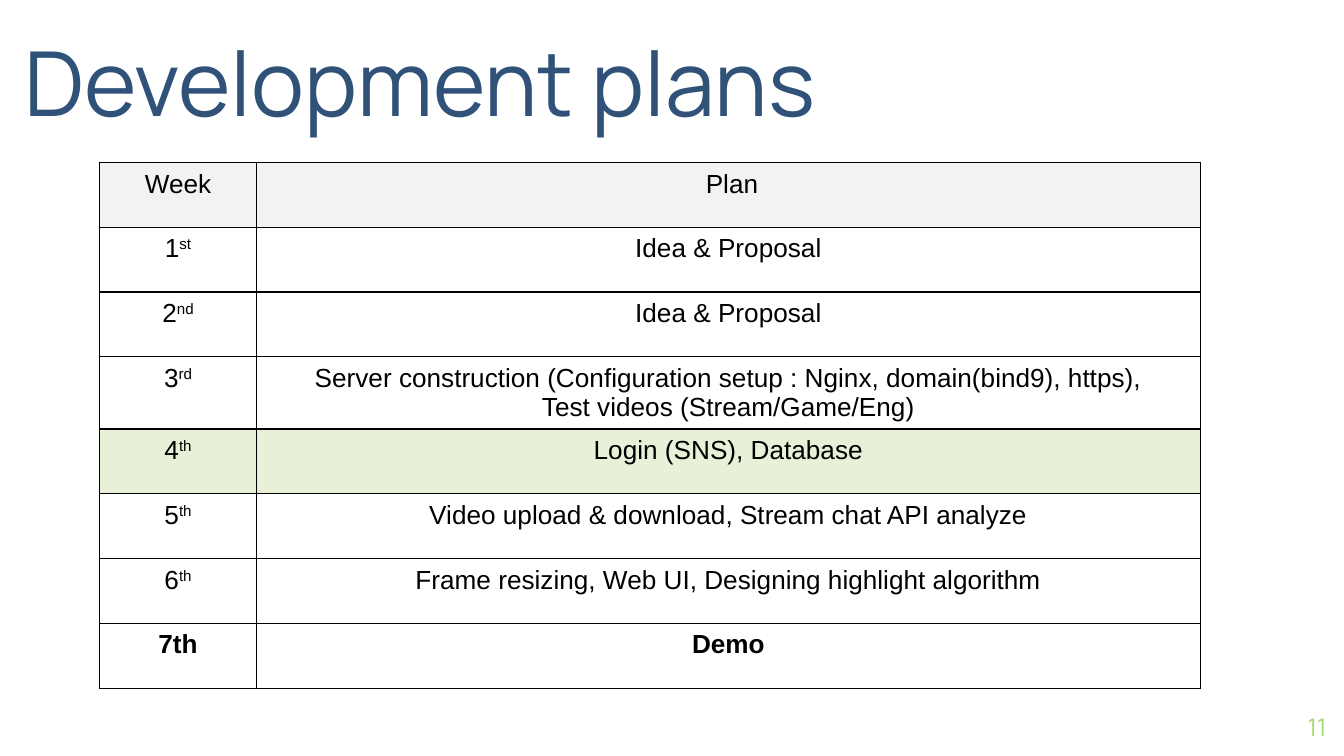
"""Build the weekly development plan slide."""
from dataclasses import dataclass

from lxml.etree import SubElement
from pptx import Presentation
from pptx.dml.color import RGBColor
from pptx.enum.text import MSO_ANCHOR as Anchor, MSO_AUTO_SIZE as AutoSize, PP_ALIGN as Align
from pptx.oxml.ns import qn
from pptx.util import Inches, Pt

COLORS = {"title": "305178", "number": "A7D86D", "text": "000000", "line": "000000",
          "header": "F2F2F2", "plain": "FFFFFF", "current": "E8F0D8"}
WIDTH = Inches(10)
HEIGHT = WIDTH * 9 // 16
COL_PERCENTS = (11.7, 70.2)
ROW_PERCENT = 8.57


@dataclass
class Box:
    """Rectangle in percent of the slide's size."""
    x: float
    y: float
    w: float
    h: float

    def emu(self) -> tuple[int, int, int, int]:
        """Return left, top, width and height as lengths."""
        return (round(self.x * WIDTH / 100), round(self.y * HEIGHT / 100),
                round(self.w * WIDTH / 100), round(self.h * HEIGHT / 100))


@dataclass
class PlanRow:
    """Table row: week, its ordinal suffix, plan lines and look."""
    week: str
    suffix: str
    plan: tuple[str, ...]
    fill: str = "plain"
    bold: bool = False


ROWS = (
    PlanRow("Week", "", (" Plan",), "header"),
    PlanRow("1", "st", ("Idea & Proposal",)),
    PlanRow("2", "nd", ("Idea & Proposal",)),
    PlanRow("3", "rd", ("Server construction (Configuration setup : Nginx, domain(bind9), https),",
                        "Test videos (Stream/Game/Eng)")),
    PlanRow("4", "th", ("Login (SNS), Database",), "current"),
    PlanRow("5", "th", ("Video upload & download, Stream chat API analyze",)),
    PlanRow("6", "th", ("Frame resizing, Web UI, Designing highlight algorithm",)),
    PlanRow("7th", "", ("Demo",), bold=True),
)


def add_run(p, text: str, size: float, font: str, color: str,
            bold: bool = False, raised: bool = False) -> None:
    """Add a formatted run to a paragraph."""
    r = p.add_run()
    r.text = text
    r.font.size, r.font.name, r.font.bold = Pt(size), font, bold
    r.font.color.rgb = RGBColor.from_string(COLORS[color])
    if raised:
        r.font._element.set("baseline", "30000")


def set_label(sp, box: Box, text: str, size: float, color: str, align, anchor) -> None:
    """Place a shape and fill it with one line of text."""
    sp.left, sp.top, sp.width, sp.height = box.emu()
    tf = sp.text_frame
    tf.word_wrap, tf.auto_size, tf.vertical_anchor = True, AutoSize.NONE, anchor
    tf.margin_left = tf.margin_top = tf.margin_right = tf.margin_bottom = 0
    p = tf.paragraphs[0]
    p.alignment = align
    add_run(p, text, size, "Manrope", color)


def format_cell(cell, fill: str) -> None:
    """Give a cell its borders and fill."""
    pr = cell._tc.get_or_add_tcPr()
    for side in ("lnL", "lnR", "lnT", "lnB"):
        ln = SubElement(pr, qn(f"a:{side}"), w=str(Pt(0.75)))
        SubElement(SubElement(ln, qn("a:solidFill")), qn("a:srgbClr"), val=COLORS["line"])
    cell.fill.solid()
    cell.fill.fore_color.rgb = RGBColor.from_string(COLORS[fill])


def fill_cell(cell, lines: tuple[str, ...], row: PlanRow, suffix: str = "") -> None:
    """Write centred lines into a cell, the last one with a raised suffix."""
    format_cell(cell, row.fill)
    tf = cell.text_frame
    for i, line in enumerate(lines):
        p = tf.add_paragraph() if i else tf.paragraphs[0]
        p.alignment = Align.CENTER
        add_run(p, line, 14, "Arial", "text", row.bold)
    if suffix:
        add_run(p, suffix, 14, "Arial", "text", row.bold, raised=True)


def add_plan_table(slide, x: float, y: float) -> None:
    """Draw the plan table with its top left corner at the given percents."""
    box = Box(x, y, sum(COL_PERCENTS), ROW_PERCENT * len(ROWS))
    table = slide.shapes.add_table(len(ROWS), len(COL_PERCENTS), *box.emu()).table
    table.horz_banding = table.first_row = False
    for col, percent in zip(table.columns, COL_PERCENTS):
        col.width = round(percent * WIDTH / 100)
    for i, row in enumerate(ROWS):
        table.rows[i].height = round(ROW_PERCENT * HEIGHT / 100)
        fill_cell(table.cell(i, 0), (row.week,), row, row.suffix)
        fill_cell(table.cell(i, 1), row.plan, row)


def main() -> None:
    """Build and save the slide."""
    prs = Presentation()
    prs.slide_width, prs.slide_height = WIDTH, HEIGHT
    slide = prs.slides.add_slide(prs.slide_layouts[5])
    number = Box(92.7, 92.3, 6, 7.6)
    set_label(slide.shapes.add_textbox(*number.emu()), number, "11",
              13, "number", Align.RIGHT, Anchor.MIDDLE)
    set_label(slide.shapes.title, Box(1.8, 1.07, 68.9, 16.7), "Development plans",
              48, "title", Align.LEFT, Anchor.BOTTOM)
    add_plan_table(slide, 7.4, 21.5)
    prs.save("out.pptx")


if __name__ == "__main__":
    main()
